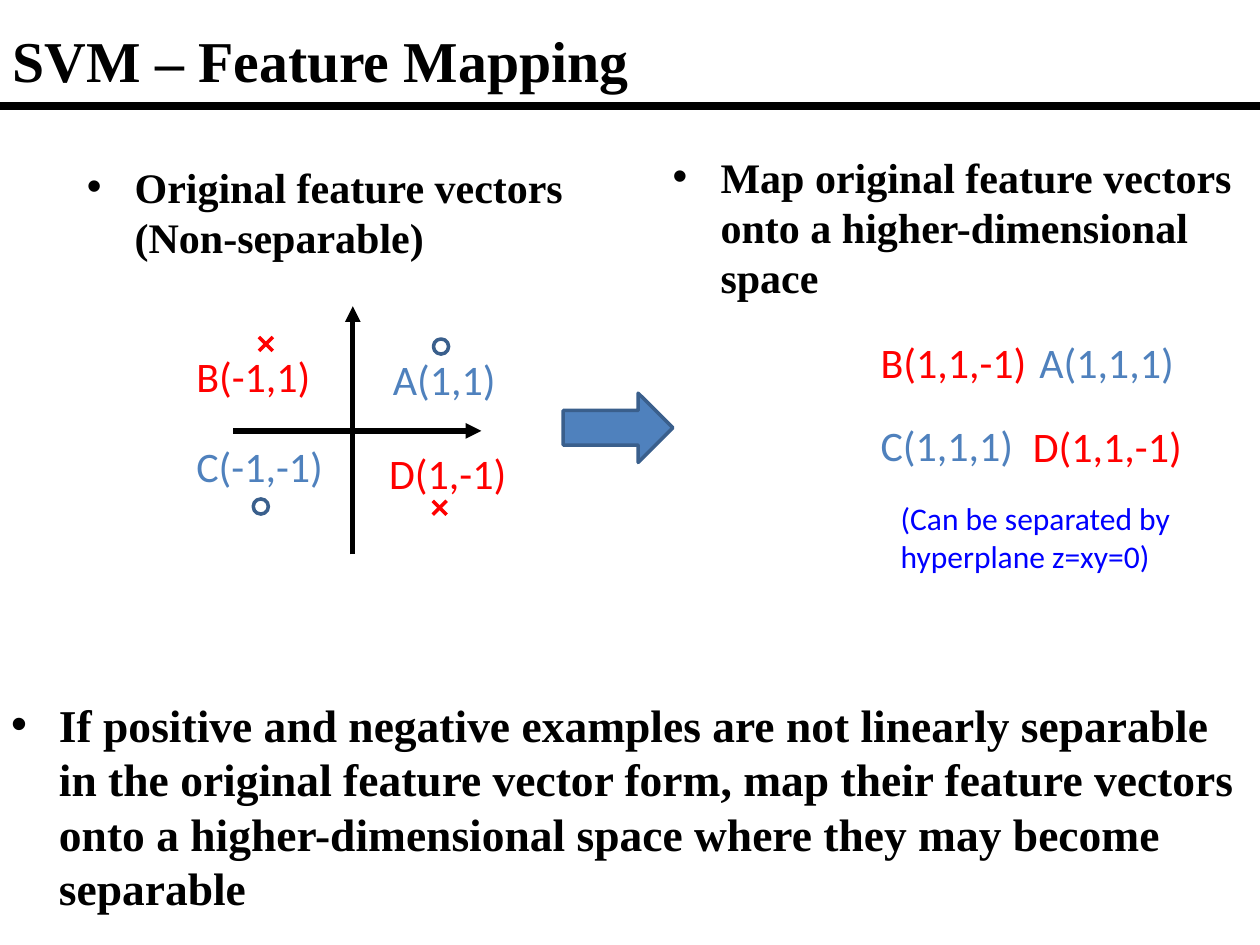
import pptx
import pptx.dml.color
import pptx.enum.shapes
import pptx.enum.text
import pptx.oxml
import pptx.oxml.ns
import pptx.util
from pptx.dml.color import RGBColor
from pptx.util import Inches

BLACK = RGBColor(0x00, 0x00, 0x00)
RED = RGBColor(0xFF, 0x00, 0x00)
BLUE = RGBColor(0x4F, 0x81, 0xBD)
DARK_BLUE = RGBColor(0x3A, 0x5F, 0x8C)
NOTE_BLUE = RGBColor(0x00, 0x00, 0xFF)
SERIF, SANS = "Times New Roman", "Calibri"

# Content: text, (left, top, width, height), ...
TITLE = ("SVM – Feature Mapping", (0, 0.08, 9.99, 0.79))
BULLETS = [  # text, place, size
    ("Original feature vectors (Non-separable)", (0.59, 1.23, 4.09, 0.91), 24),
    ("Map original feature vectors onto a higher-dimensional space",
     (5.24, 1.15, 4.65, 1.31), 24),
    ("If positive and negative examples are not linearly separable in the "
     "original feature vector form, map their feature vectors onto a "
     "higher-dimensional space where they may become separable",
     (-0.01, 5.48, 10, 1.85), 26),
]
POINT_LABELS = [  # text, left, top, width, colour
    ("A(1,1)", 3.02, 2.76, 1.05, BLUE),
    ("B(-1,1)", 1.46, 2.73, 1.2, RED),
    ("C(-1,-1)", 1.46, 3.45, 1.31, BLUE),
    ("D(1,-1)", 2.99, 3.5, 1.38, RED),
    ("A(1,1,1)", 8.15, 2.62, 1.57, BLUE),
    ("B(1,1,-1)", 6.89, 2.62, 1.83, RED),
    ("C(1,1,1)", 6.89, 3.28, 1.26, BLUE),
    ("D(1,1,-1)", 8.1, 3.29, 1.57, RED),
]
NOTE = ("(Can be separated by hyperplane z=xy=0)", (7.05, 3.91, 2.44, 0.71))
AXES = [((1.85, 3.42), (3.82, 3.42)), ((2.8, 4.4), (2.8, 2.43))]
CIRCLE_CENTRES = [(3.5, 2.75), (2.07, 4.02)]
CROSS_CENTRES = [(2.11, 2.73), (3.49, 4.03)]
CIRCLE_SIZE, CROSS_SIZE = 0.12, 0.11

presentation = pptx.Presentation()
presentation.slide_width, presentation.slide_height = Inches(10), Inches(7.5)
slide = presentation.slides.add_slide(presentation.slide_layouts[6])


def add_text(text, place, size, font, color, bold=False, bullet=False):
    box = slide.shapes.add_textbox(*map(Inches, place))
    box.text_frame.word_wrap = True
    paragraph = box.text_frame.paragraphs[0]
    if bullet:
        properties = paragraph._p.get_or_add_pPr()
        properties.set("marL", str(Inches(0.38)))
        properties.set("indent", str(Inches(-0.38)))
        namespace = pptx.oxml.ns.nsdecls("a")
        properties.append(pptx.oxml.parse_xml(f'<a:buFont {namespace} typeface="Arial"/>'))
        properties.append(pptx.oxml.parse_xml(f'<a:buChar {namespace} char="•"/>'))
    run = paragraph.add_run()
    run.text = text
    run.font.name, run.font.size, run.font.bold = font, pptx.util.Pt(size), bold
    run.font.color.rgb = color
    return box


def add_line(start, end, color, width, arrow=False):
    connector = slide.shapes.add_connector(
        pptx.enum.shapes.MSO_CONNECTOR.STRAIGHT, *map(Inches, (*start, *end)))
    connector.line.color.rgb = color
    connector.line.width = pptx.util.Pt(width)
    namespace = pptx.oxml.ns.nsdecls("a")
    if arrow:
        connector.line._get_or_add_ln().append(
            pptx.oxml.parse_xml(f'<a:tailEnd {namespace} type="triangle"/>'))
    connector._element.spPr.append(pptx.oxml.parse_xml(f"<a:effectLst {namespace}/>"))


def add_outlined_shape(kind, place, fill=None):
    shape = slide.shapes.add_shape(kind, *map(Inches, place))
    shape.shadow.inherit = False
    if fill is None:
        shape.fill.background()
    else:
        shape.fill.solid()
        shape.fill.fore_color.rgb = fill
    shape.line.color.rgb = DARK_BLUE
    shape.line.width = pptx.util.Pt(2)


# Title and rule
title = add_text(*TITLE, 33, SERIF, BLACK, bold=True)
title.text_frame.vertical_anchor = pptx.enum.text.MSO_ANCHOR.MIDDLE
add_line((0, 0.84), (10, 0.84), BLACK, 4.5)

# Axes and point markers
for start, end in AXES:
    add_line(start, end, BLACK, 3, arrow=True)
for x, y in CIRCLE_CENTRES:
    half = CIRCLE_SIZE / 2
    add_outlined_shape(pptx.enum.shapes.MSO_SHAPE.OVAL,
                       (x - half, y - half, CIRCLE_SIZE, CIRCLE_SIZE))
for x, y in CROSS_CENTRES:
    half = CROSS_SIZE / 2
    for rise in (half, -half):
        add_line((x - half, y - rise), (x + half, y + rise), RED, 2)

# Point labels, mapping arrow and note
for text, left, top, width, color in POINT_LABELS:
    add_text(text, (left, top, width, 0.5), 24, SANS, color)
add_outlined_shape(pptx.enum.shapes.MSO_SHAPE.RIGHT_ARROW, (4.47, 3.12, 0.87, 0.55), BLUE)
add_text(*NOTE, 18, SANS, NOTE_BLUE)

# Bulleted statements
for text, place, size in BULLETS:
    add_text(text, place, size, SERIF, BLACK, bold=True, bullet=True)

presentation.save("out.pptx")
